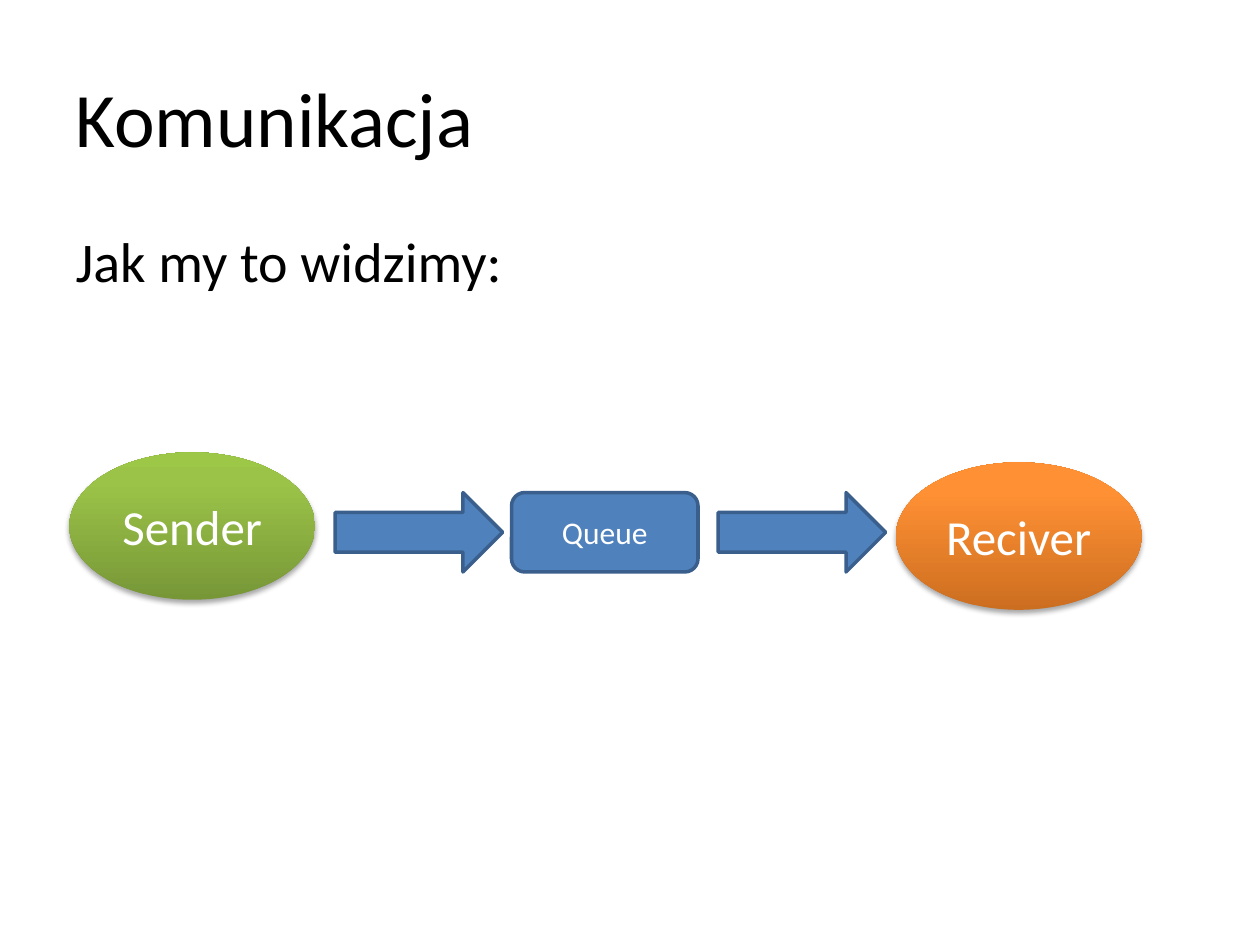
from copy import deepcopy

from pptx import Presentation
from pptx import util as u
from pptx.dml.color import RGBColor
from pptx.enum import shapes, text
from pptx.oxml import parse_xml
from pptx.oxml.ns import nsdecls, qn

FONT = "Calibri"
COLORS = {
    "text": "000000",
    "label": "FFFFFF",
    "flow": "4F81BD",
    "flow_line": "3A5F8C",
    "shadow": "000000",
}
GRADIENTS = {
    "sender": [(0, "779737"), (0.8, "9BC348"), (1, "9DC746")],
    "receiver": [(0, "CC6E20"), (0.8, "FF9034"), (1, "FF9136")],
}


def rgb(value):
    return RGBColor.from_string(value)


def add_text(paragraph, wording, size, color):
    run = paragraph.add_run()
    run.text = wording
    run.font.name = FONT
    run.font.size = u.Pt(size)
    run.font.color.rgb = rgb(COLORS[color])


def fill_placeholder(placeholder, box, wording, size):
    placeholder.left, placeholder.top, placeholder.width, placeholder.height = map(u.Inches, box)
    paragraph = placeholder.text_frame.paragraphs[0]
    paragraph.alignment = text.PP_ALIGN.LEFT
    add_text(paragraph, wording, size, "text")
    return paragraph


def remove_bullet(paragraph):
    properties = paragraph._p.get_or_add_pPr()
    properties.set("marL", str(u.Inches(0.38)))
    properties.set("indent", str(u.Inches(-0.38)))
    properties.append(parse_xml(f"<a:buNone {nsdecls('a')}/>"))


def add_node(slide, preset, box, label=None, size=18):
    node = slide.shapes.add_shape(preset, *map(u.Inches, box))
    node.shadow.inherit = False
    if label:
        frame = node.text_frame
        frame.vertical_anchor = text.MSO_ANCHOR.MIDDLE
        paragraph = frame.paragraphs[0]
        paragraph.alignment = text.PP_ALIGN.CENTER
        add_text(paragraph, label, size, "label")
    return node


def add_flow_part(slide, preset, left, width, label=None):
    part = add_node(slide, preset, (left, 3.91, width, 0.63), label)
    part.fill.solid()
    part.fill.fore_color.rgb = rgb(COLORS["flow"])
    part.line.color.rgb = rgb(COLORS["flow_line"])
    part.line.width = u.Pt(2)


def add_drop_shadow(node):
    effects = node._element.spPr.find(qn("a:effectLst"))
    effects.append(parse_xml(
        f'<a:outerShdw {nsdecls("a")} blurRad="{u.Pt(3.1)}" dist="{u.Pt(1.8)}" '
        f'dir="5400000" rotWithShape="0"><a:srgbClr val="{COLORS["shadow"]}">'
        '<a:alpha val="35000"/></a:srgbClr></a:outerShdw>'
    ))


def add_endpoint(slide, left, top, label, gradient):
    endpoint = add_node(slide, shapes.MSO_SHAPE.OVAL, (left, top, 1.95, 1.17), label, 28)
    endpoint.line.fill.background()
    endpoint.fill.gradient()
    endpoint.fill.gradient_angle = 90
    stop_list = endpoint._element.spPr.find(qn("a:gradFill")).find(qn("a:gsLst"))
    stop_list.append(deepcopy(stop_list[-1]))
    for stop, (position, color) in zip(endpoint.fill.gradient_stops, GRADIENTS[gradient]):
        stop.position = position
        stop.color.rgb = rgb(color)
    add_drop_shadow(endpoint)


def main():
    deck = Presentation()
    deck.slide_width, deck.slide_height = u.Inches(10), u.Inches(7.5)
    slide = deck.slides.add_slide(deck.slide_layouts[1])

    fill_placeholder(slide.shapes.title, (0.5, 0.3, 9, 1.25), "Komunikacja", 44)
    intro = fill_placeholder(slide.placeholders[1], (0.5, 1.75, 9, 4.95), "Jak my to widzimy:", 32)
    remove_bullet(intro)

    add_endpoint(slide, 0.55, 3.59, "Sender", "sender")
    add_endpoint(slide, 7.11, 3.67, "Reciver", "receiver")
    add_flow_part(slide, shapes.MSO_SHAPE.RIGHT_ARROW, 2.66, 1.33)
    add_flow_part(slide, shapes.MSO_SHAPE.ROUNDED_RECTANGLE, 4.06, 1.48, "Queue")
    add_flow_part(slide, shapes.MSO_SHAPE.RIGHT_ARROW, 5.7, 1.33)

    deck.save("out.pptx")


if __name__ == "__main__":
    main()
